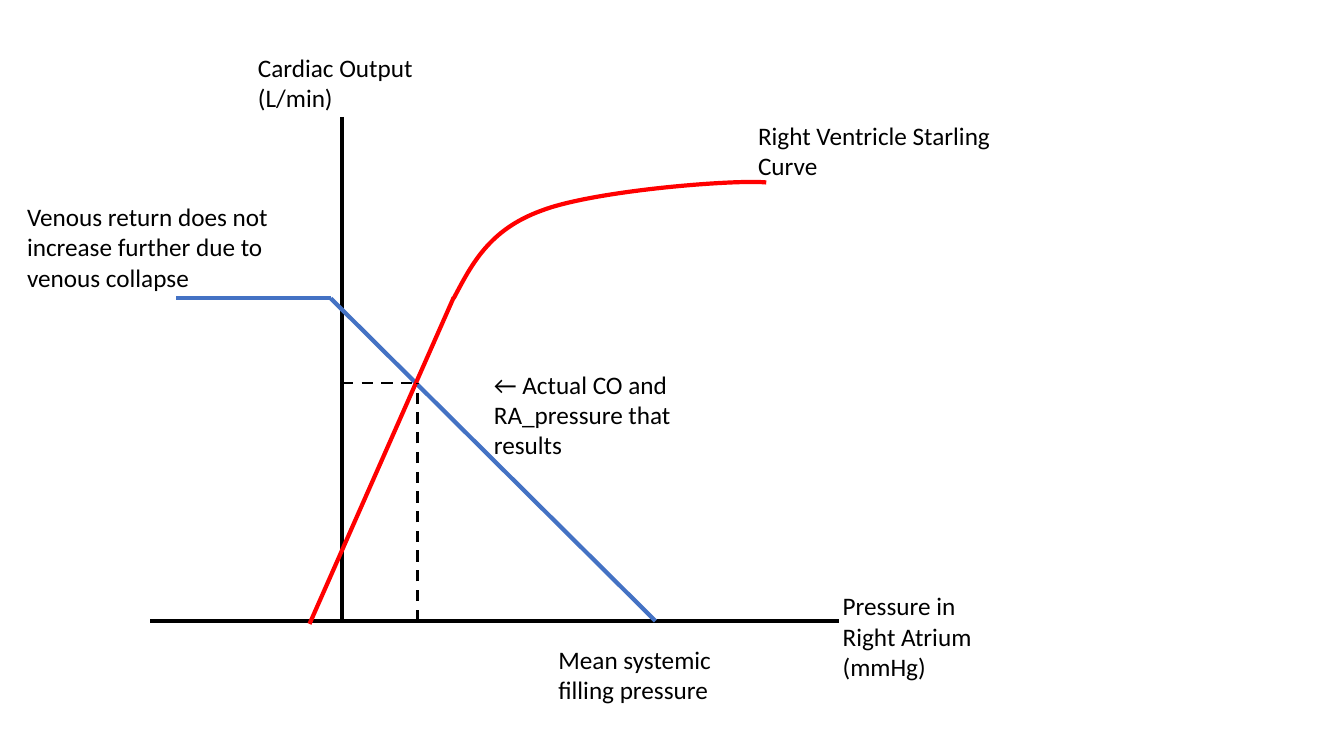
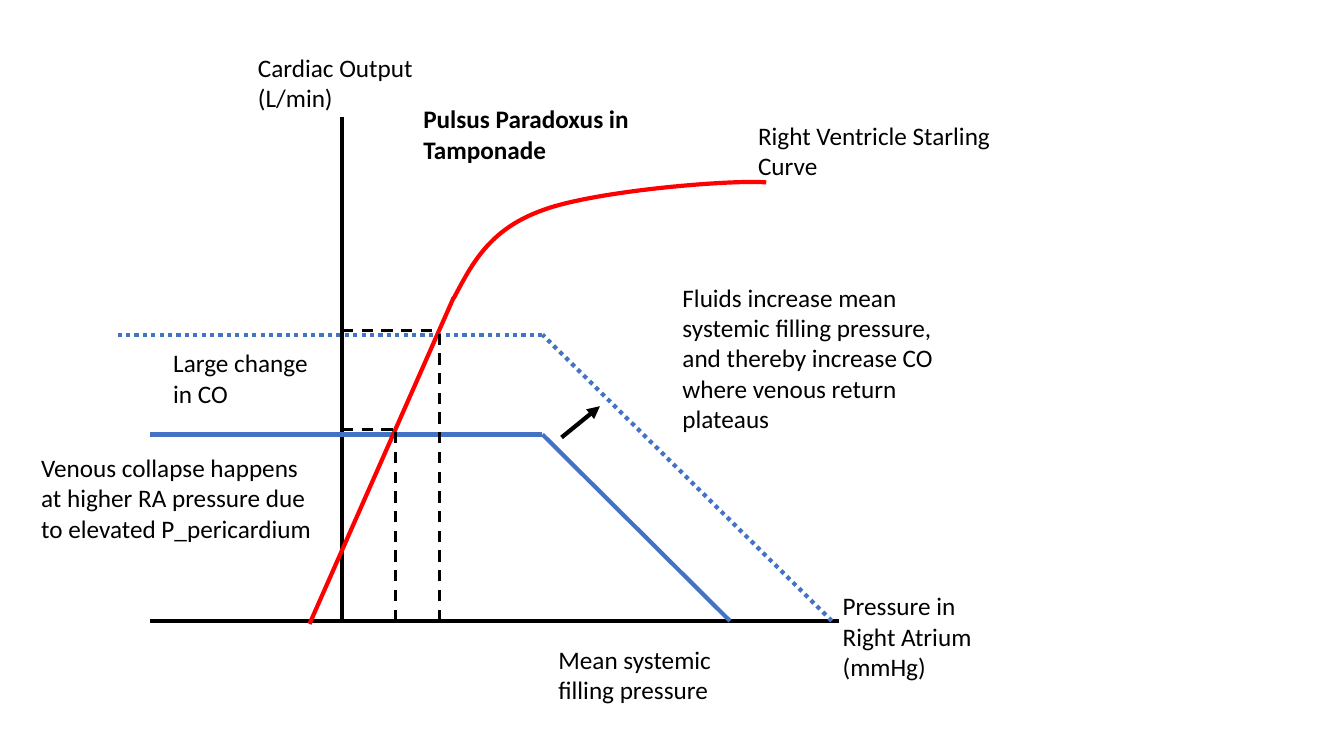
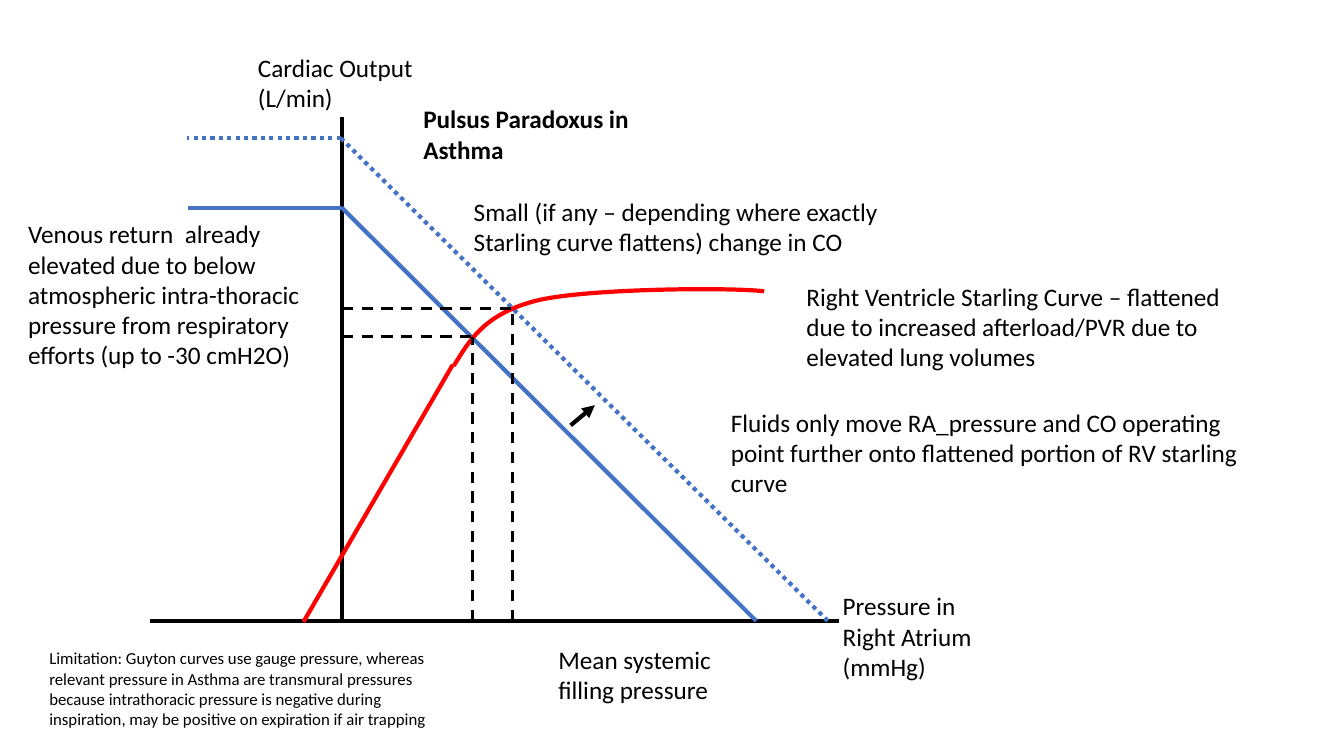
from pptx import Presentation
from pptx.dml.color import RGBColor
from pptx.enum.dml import MSO_LINE
from pptx.enum.text import MSO_AUTO_SIZE
from pptx.oxml.ns import qn
from pptx.util import Inches, Pt
from lxml.etree import SubElement

COLORS = {"axis": "000000", "text": "000000", "venous": "4472C4", "starling": "FF0000"}
FONT = "Calibri"

# Axes shared by all slides, in inches
AXIS_X, AXIS_TOP = 3.39, 1.16
AXIS_Y, AXIS_LEFT, AXIS_RIGHT = 6.16, 1.49, 8.32

# Labels: (text, left, top, width, height, format changes)
AXIS_LABELS = [
    ("Pressure in Right Atrium (mmHg)", 8.26, 5.81, 1.53, 1.01, {}),
    ("Cardiac Output (L/min)", 2.46, 0.47, 2.01, 0.71, {}),
    ("Mean systemic filling pressure", 5.44, 6.34, 1.97, 0.71, {}),
]
STARLING_LABEL = ("Right Ventricle Starling Curve", 7.42, 1.14, 2.81, 0.71, {})
HEADING = (4.1, 0.98, 2.89, 0.71, {"bold": True})

# Starling curves: a straight rise, then a Bezier bend
NORMAL_STARLING = {
    "rise": [(3.07, 6.19), (4.5, 2.95)],
    "bend": [(4.5, 2.96), (4.68, 2.62), (4.85, 2.28), (5.37, 2.09),
             (5.89, 1.89), (7.28, 1.78), (7.6, 1.81)],
}
FLAT_STARLING = {
    "rise": [(3.01, 6.17), (4.49, 3.62)],
    "bend": [(4.5, 3.63), (4.66, 3.37), (4.81, 3.11), (5.33, 2.98),
             (5.84, 2.86), (7.25, 2.85), (7.58, 2.89)],
}

# Venous curves: (foot x, knee x, knee y, plateau left x, dash style)
SLIDES = [
    {
        "starling": NORMAL_STARLING,
        "venous": [(6.5, 3.28, 2.96, 1.75, None)],
        "operating_points": [(4.14, 3.8)],
        "shifts": [],
        "labels": [
            STARLING_LABEL,
            ("Venous return does not increase further due to venous collapse",
             0.17, 1.95, 2.89, 1.01, {}),
            ("← Actual CO and RA_pressure that results", 4.8, 3.61, 2.02, 1.01, {}),
        ],
    },
    {
        "starling": NORMAL_STARLING,
        "venous": [(8.25, 5.38, 3.32, 1.17, MSO_LINE.ROUND_DOT),
                   (7.24, 5.38, 4.31, 1.49, None)],
        "operating_points": [(3.92, 4.26), (4.36, 3.28)],
        "shifts": [[(5.57, 4.34), (5.95, 4.03)]],
        "labels": [
            STARLING_LABEL,
            ("Pulsus Paradoxus in Tamponade", *HEADING),
            ("Venous collapse happens at higher RA pressure due to elevated P_pericardium",
             0.31, 4.44, 2.89, 1.01, {}),
            ("Fluids increase mean systemic filling pressure, and thereby increase CO "
             "where venous return plateaus", 6.67, 2.75, 2.89, 1.62, {}),
            ("Large change in CO", 1.62, 3.4, 1.77, 0.71, {}),
        ],
    },
    {
        "starling": FLAT_STARLING,
        "venous": [(7.5, 3.39, 2.06, 1.86, None),
                   (8.21, 3.38, 1.37, 1.85, MSO_LINE.ROUND_DOT)],
        "operating_points": [(4.69, 3.34), (5.08, 3.06)],
        "shifts": [[(5.66, 4.22), (5.9, 4.02)]],
        "labels": [
            ("Pulsus Paradoxus in Asthma", *HEADING),
            ("Venous return  already elevated due to below atmospheric intra-thoracic "
             "pressure from respiratory efforts (up to -30 cmH2O)",
             0.18, 2.12, 2.89, 1.92, {}),
            ("Fluids only move RA_pressure and CO operating point further onto flattened "
             "portion of RV starling curve", 7.15, 3.99, 5.51, 1.01, {}),
            ("Right Ventricle Starling Curve – flattened due to increased afterload/PVR "
             "due to elevated lung volumes", 7.9, 2.74, 4.52, 1.01, {}),
            ("Small (if any – depending where exactly Starling curve flattens) change in CO",
             4.6, 1.9, 4.45, 0.71, {}),
            ("Limitation: Guyton curves use gauge pressure, whereas relevant pressure in "
             "Asthma are transmural pressures because intrathoracic pressure is negative "
             "during inspiration, may be positive on expiration if air trapping",
             0.39, 6.38, 4.29, 0.91, {"size": Pt(12)}),
        ],
    },
]


def style_line(line, color, width=3, dash=None):
    line.color.rgb = RGBColor.from_string(COLORS[color])
    line.width = Pt(width)
    if dash is not None:
        line.dash_style = dash


def add_line(slide, start, end, color, width=3, dash=None, arrow=False):
    ends = [Inches(value) for value in (*start, *end)]
    connector = slide.shapes.add_connector(1, *ends)
    style_line(connector.line, color, width, dash)
    properties = connector._element.spPr
    if arrow:
        SubElement(properties.find(qn("a:ln")), qn("a:tailEnd"), type="triangle")
    SubElement(properties, qn("a:effectLst"))


def add_bend(slide, points, color):
    """Draw an open cubic Bezier through a start and triples of points."""
    start, *controls = [(Inches(x), Inches(y)) for x, y in points]
    builder = slide.shapes.build_freeform(*start)
    builder.add_line_segments(controls, close=False)
    shape = builder.convert_to_shape()
    shape.shadow.inherit = False
    shape.fill.background()
    style_line(shape.line, color)
    # Gather each three straight segments into one curve
    outline = shape._element.find(".//" + qn("a:path"))
    segments = outline.findall(qn("a:lnTo"))
    for first in range(0, len(segments), 3):
        curve = SubElement(outline, qn("a:cubicBezTo"))
        for segment in segments[first:first + 3]:
            curve.append(segment[0])
            outline.remove(segment)


def add_label(slide, text, left, top, width, height, changes):
    box = slide.shapes.add_textbox(*map(Inches, (left, top, width, height)))
    frame = box.text_frame
    frame.word_wrap = True
    frame.auto_size = MSO_AUTO_SIZE.SHAPE_TO_FIT_TEXT
    paragraph = frame.paragraphs[0]
    run = paragraph.add_run()
    run.text = text
    for name, value in {"name": FONT, "size": Pt(18), **changes}.items():
        setattr(run.font, name, value)
    run.font.color.rgb = RGBColor.from_string(COLORS["text"])


def build_slide(presentation, content):
    slide = presentation.slides.add_slide(presentation.slide_layouts[6])
    # Axes
    add_line(slide, (AXIS_X, AXIS_TOP), (AXIS_X, AXIS_Y), "axis")
    add_line(slide, (AXIS_RIGHT, AXIS_Y), (AXIS_LEFT, AXIS_Y), "axis")
    # Venous return: slope up to the knee, then plateau
    for foot, knee_x, knee_y, plateau, dash in content["venous"]:
        knee = (knee_x, knee_y)
        add_line(slide, (foot, AXIS_Y), knee, "venous", dash=dash)
        add_line(slide, knee, (plateau, knee_y), "venous", dash=dash)
    # Starling curve
    add_line(slide, *content["starling"]["rise"], "starling")
    add_bend(slide, content["starling"]["bend"], "starling")
    # Dashed guides from both axes to each operating point
    for x, y in content["operating_points"]:
        for start in ((x, AXIS_Y), (AXIS_X, y)):
            add_line(slide, start, (x, y), "axis", 2, MSO_LINE.DASH)
    # Arrows for the shift of the venous curve
    for start, end in content["shifts"]:
        add_line(slide, start, end, "axis", arrow=True)
    for label in AXIS_LABELS + content["labels"]:
        add_label(slide, *label)


def main():
    presentation = Presentation()
    presentation.slide_width = Inches(13.33)
    presentation.slide_height = Inches(7.5)
    for content in SLIDES:
        build_slide(presentation, content)
    presentation.save("out.pptx")


if __name__ == "__main__":
    main()
